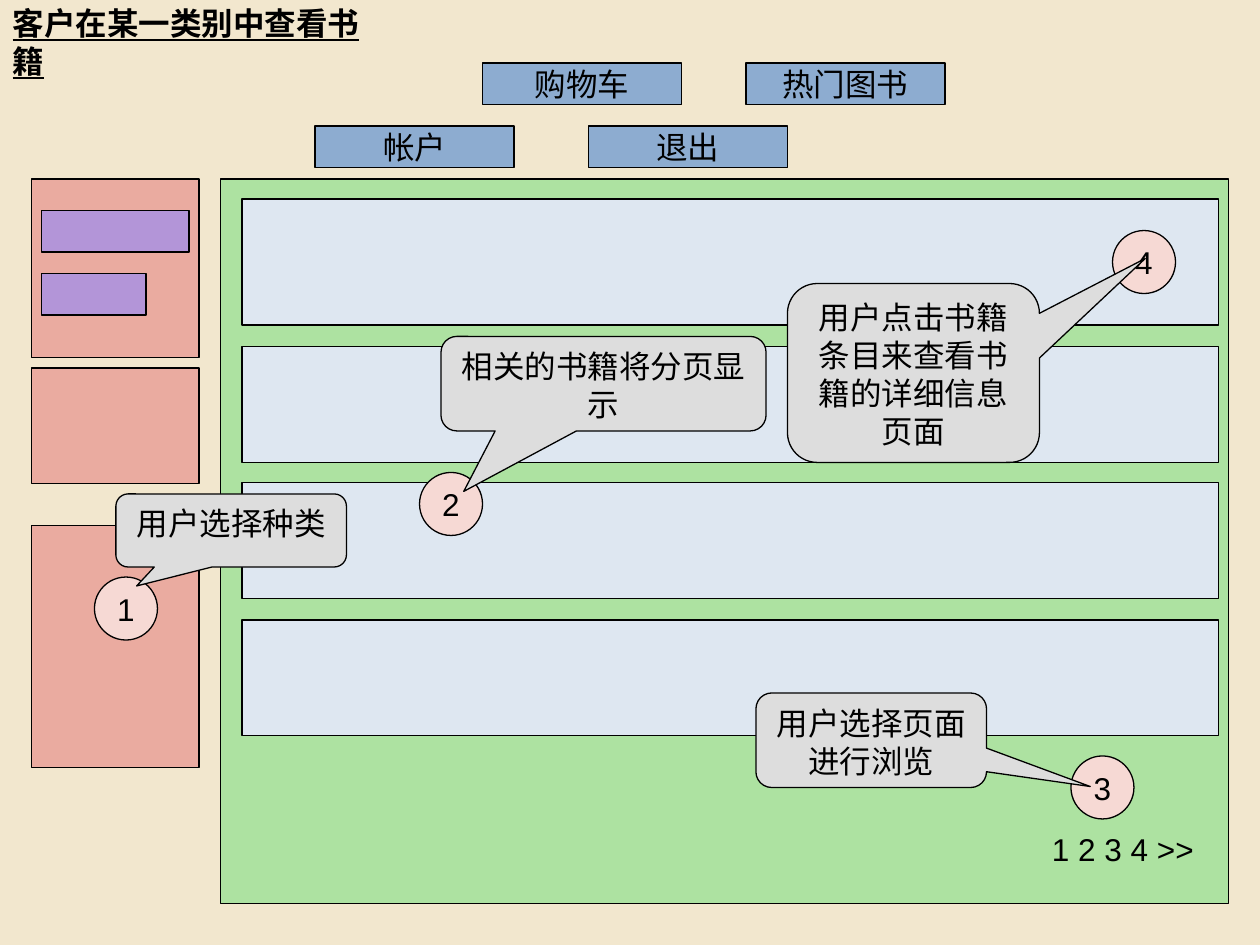
from pptx import Presentation
from pptx.dml.color import RGBColor
from pptx.enum.shapes import MSO_SHAPE
from pptx.enum.text import MSO_ANCHOR, MSO_AUTO_SIZE, PP_ALIGN
from pptx.util import Inches, Pt

RECT, OVAL = MSO_SHAPE.RECTANGLE, MSO_SHAPE.OVAL
CALLOUT = MSO_SHAPE.ROUNDED_RECTANGULAR_CALLOUT
TOP, MIDDLE = MSO_ANCHOR.TOP, MSO_ANCHOR.MIDDLE
LEFT, CENTER = PP_ALIGN.LEFT, PP_ALIGN.CENTER
NO_FIT = MSO_AUTO_SIZE.NONE

COLORS = {
    "back": "F2E7CE", "ink": "000000", "side": "EAABA0", "field": "B395D8",
    "button": "8DACD0", "panel": "ADE2A1", "row": "DEE7F1",
    "badge": "F6D9D4", "note": "DDDDDD",
}
RGB = {name: RGBColor.from_string(code) for name, code in COLORS.items()}

prs = Presentation()
prs.slide_width, prs.slide_height = Inches(10), Inches(7.5)
slide = prs.slides.add_slide(prs.slide_layouts[5])
slide.background.fill.solid()
slide.background.fill.fore_color.rgb = RGB["back"]


def write(shape, text, align=CENTER, anchor=MIDDLE, wrap=False):
    frame = shape.text_frame
    frame.auto_size = NO_FIT
    frame.word_wrap = wrap
    frame.vertical_anchor = anchor
    para = frame.paragraphs[0]
    para.alignment = align
    run = para.add_run()
    run.text = text
    run.font.size = Pt(18)
    run.font.name = "Arial"
    run.font.color.rgb = RGB["ink"]
    return run


def draw(kind, color, x, y, w, h):
    shape = slide.shapes.add_shape(kind, Inches(x), Inches(y), Inches(w), Inches(h))
    shape.shadow.inherit = False
    shape.fill.solid()
    shape.fill.fore_color.rgb = RGB[color]
    shape.line.color.rgb = RGB["ink"]
    shape.line.width = Pt(0.75)
    return shape


# Title
title = slide.shapes.title
title.left, title.top = Inches(0), Inches(-0.02)
title.width, title.height = Inches(3.2), Inches(0.4)
run = write(title, "客户在某一类别中查看书籍", LEFT, TOP)
run.font.bold = True
run.font.underline = True

# Sidebar boxes and their fields
for y, h in [(1.42, 1.42), (2.92, 0.92), (4.17, 1.92)]:
    draw(RECT, "side", 0.25, y, 1.33, h)
for y, w in [(1.67, 1.17), (2.17, 0.83)]:
    draw(RECT, "field", 0.33, y, w, 0.33)

# Navigation buttons
for text, x, y in [("购物车", 3.83, 0.5), ("热门图书", 5.92, 0.5),
                   ("帐户", 2.5, 1), ("退出", 4.67, 1)]:
    write(draw(RECT, "button", x, y, 1.58, 0.33), text)

# Book panel with its rows
draw(RECT, "panel", 1.75, 1.42, 8, 5.75)
for y, h in [(1.58, 1), (2.75, 0.92), (3.83, 0.92), (4.92, 0.92)]:
    draw(RECT, "row", 1.92, y, 7.75, h)

# Page links
pager = slide.shapes.add_textbox(Inches(8.25), Inches(6.54), Inches(1.32), Inches(0.4))
write(pager, "1 2 3 4 >>", LEFT, TOP)

# Numbered steps: badge spot, note box, pointer tip, note text
steps = [
    ((0.75, 4.58), (0.92, 3.92, 1.83, 0.58), (-0.41, 0.76), "用户选择种类"),
    ((3.33, 3.75), (3.5, 2.67, 2.58, 0.75), (-0.43, 1.14), "相关的书籍将分页显示"),
    ((8.5, 6), (6, 5.5, 1.83, 0.75), (0.95, 0.49), "用户选择页面进行浏览"),
    ((8.83, 1.83), (6.25, 2.25, 2, 1.42), (0.92, -0.64),
     "用户点击书籍条目来查看书籍的详细信息页面"),
]
for num, (spot, box, tip, text) in enumerate(steps, 1):
    write(draw(OVAL, "badge", *spot, 0.5, 0.5), str(num))
    note = draw(CALLOUT, "note", *box)
    note.adjustments[0], note.adjustments[1] = tip
    write(note, text, anchor=TOP, wrap=True)

prs.save("out.pptx")
